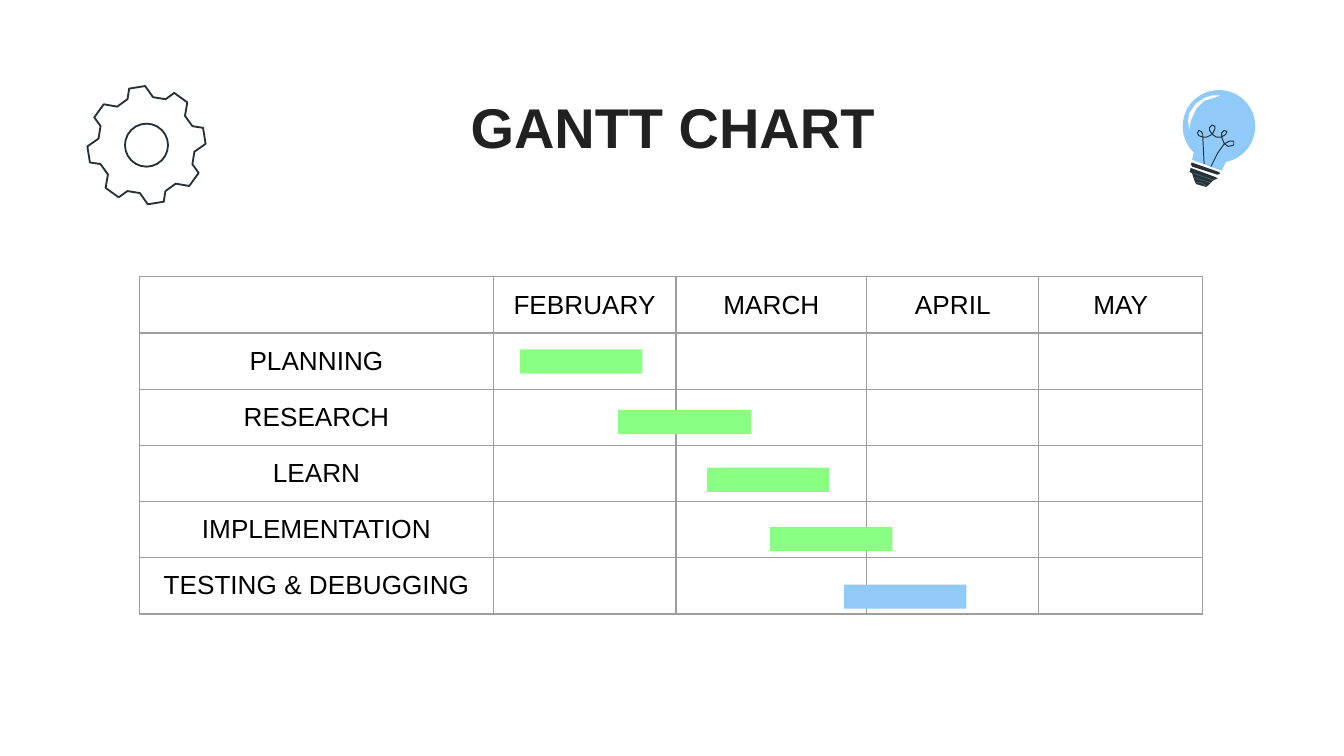
from dataclasses import dataclass
from math import cos, radians, sin

from lxml import etree
from pptx import Presentation
from pptx.dml.color import RGBColor
from pptx.enum.shapes import MSO_SHAPE
from pptx.enum.text import MSO_ANCHOR, MSO_AUTO_SIZE, PP_ALIGN
from pptx.oxml.ns import qn
from pptx.util import Inches, Pt

RECT, OVAL = MSO_SHAPE.RECTANGLE, MSO_SHAPE.OVAL
TOP, MIDDLE = MSO_ANCHOR.TOP, MSO_ANCHOR.MIDDLE
CENTER = PP_ALIGN.CENTER
NO_FIT = MSO_AUTO_SIZE.NONE


@dataclass(frozen=True)
class Theme:
    """Colours, font and type sizes of the slide."""
    font: str = "Arial"
    title: str = "212121"
    text: str = "000000"
    grid: str = "9E9E9E"
    done: str = "89FF83"
    blue: str = "90CAF9"
    dark: str = "263238"
    groove: str = "455A64"
    white: str = "FFFFFF"
    title_size: int = 30
    cell_size: int = 14


THEME = Theme()
MONTHS = ["FEBRUARY", "MARCH", "APRIL", "MAY"]
TASKS = [
    ("PLANNING", 2.83, 0.54, 0.91, THEME.done),
    ("RESEARCH", 3.56, 0.99, 0.99, THEME.done),
    ("LEARN", 4.22, 1.42, 0.91, THEME.done),
    ("IMPLEMENTATION", 4.69, 1.86, 0.91, THEME.done),
    ("TESTING & DEBUGGING", 5.24, 2.29, 0.91, THEME.blue),
]
COLS = [2.63, 1.36, 1.42, 1.28, 1.22]
DEPTH = 2.51
TOOTH = [(0.44, 1.3), (0.44, 17), (0.37, 22.4), (0.36, 37.2)]
NECK = [(0.09, 0.43), (0.07, 0.52), (0.29, 0.6), (0.33, 0.52)]
COLLAR = [(0.07, 0.54), (0.27, 0.61), (0.28, 0.62), (0.26, 0.63),
          (0.07, 0.57), (0.06, 0.55)]
BASE = [(0.06, 0.58), (0.25, 0.65), (0.26, 0.66), (0.23, 0.67), (0.19, 0.71),
        (0.17, 0.72), (0.1, 0.7), (0.09, 0.68), (0.07, 0.62), (0.05, 0.61)]
SHINE = [(0.28, 0.04), (0.22, 0.04), (0.16, 0.06), (0.1, 0.1), (0.05, 0.17),
         (0.04, 0.23), (0.05, 0.29), (0.06, 0.23), (0.1, 0.14), (0.16, 0.08),
         (0.23, 0.06)]
WIRE = [(0.16, 0.55), (0.15, 0.35), (0.12, 0.34), (0.11, 0.32), (0.12, 0.3),
        (0.14, 0.31), (0.15, 0.33), (0.15, 0.35), (0.18, 0.35), (0.22, 0.33),
        (0.24, 0.29), (0.24, 0.27), (0.22, 0.26), (0.2, 0.28), (0.2, 0.3),
        (0.22, 0.33), (0.25, 0.35), (0.29, 0.35), (0.32, 0.33), (0.33, 0.31),
        (0.31, 0.3), (0.29, 0.32), (0.29, 0.35), (0.31, 0.4), (0.34, 0.42),
        (0.38, 0.41), (0.38, 0.38), (0.35, 0.38), (0.31, 0.4), (0.26, 0.47),
        (0.21, 0.57)]
GROOVES = [
    [(0.08, 0.62), (0.23, 0.67)],
    [(0.08, 0.65), (0.21, 0.69)],
    [(0.1, 0.69), (0.14, 0.69), (0.18, 0.72)],
]


def paint(shape, fill=None, line=None, width=1):
    """Set fill and line of a shape, where None means empty."""
    shape.shadow.inherit = False
    if fill:
        shape.fill.solid()
        shape.fill.fore_color.rgb = RGBColor.from_string(fill)
    else:
        shape.fill.background()
    if line:
        shape.line.color.rgb = RGBColor.from_string(line)
        shape.line.width = Pt(width)
    else:
        shape.line.fill.background()


def preset(slide, kind, box, **look):
    """Add a preset shape in a box given in inches."""
    paint(slide.shapes.add_shape(kind, *map(Inches, box)), **look)


def trace(slide, left, top, points, close=True, **look):
    """Add an outline through points relative to left and top."""
    spots = [(Inches(left + x), Inches(top + y)) for x, y in points]
    pen = slide.shapes.build_freeform(*spots[0])
    pen.add_line_segments(spots[1:], close=close)
    paint(pen.convert_to_shape(), **look)


def style(para, size, color, bold=False):
    """Centre a paragraph and set its font."""
    para.alignment = CENTER
    look = {"name": THEME.font, "size": Pt(size), "bold": bold}
    for run in para.runs:
        for name, value in look.items():
            setattr(run.font, name, value)
        run.font.color.rgb = RGBColor.from_string(color)


def add_title(slide, left, top, width, height):
    """Place and format the title."""
    title = slide.shapes.title
    title.left, title.top = Inches(left), Inches(top)
    title.width, title.height = Inches(width), Inches(height)
    frame = title.text_frame
    frame.text = "GANTT CHART"
    look = {"margin_left": 0, "margin_right": 0, "margin_top": Inches(0.1),
            "margin_bottom": Inches(0.1), "vertical_anchor": TOP,
            "auto_size": NO_FIT}
    for name, value in look.items():
        setattr(frame, name, value)
    style(frame.paragraphs[0], THEME.title_size, THEME.title, True)


def add_gear(slide, left, top, size):
    """Draw a gear of eight teeth around a hole."""
    mid, hole = size / 2, 0.16
    points = []
    for tooth in range(8):
        for reach, turn in TOOTH:
            angle = radians(turn + 45 * tooth)
            points.append((mid - reach * sin(angle), mid - reach * cos(angle)))
    trace(slide, left, top, points, line=THEME.dark)
    box = (left + mid - hole, top + mid - hole, 2 * hole, 2 * hole)
    preset(slide, OVAL, box, line=THEME.dark)


def add_bulb(slide, left, top, size):
    """Draw a tilted light bulb with its wire and screw base."""
    preset(slide, OVAL, (left, top, size, size), fill=THEME.blue)
    parts = [(NECK, THEME.blue), (COLLAR, THEME.dark), (BASE, THEME.dark),
             (SHINE, THEME.white)]
    for points, fill in parts:
        trace(slide, left, top, points, fill=fill)
    lines = [(WIRE, THEME.dark)] + [(cut, THEME.groove) for cut in GROOVES]
    for points, line in lines:
        trace(slide, left, top, points, close=False, line=line, width=0.5)


def edge(cell):
    """Draw the four borders of a cell."""
    props = cell._tc.get_or_add_tcPr()
    for side in ("a:lnL", "a:lnR", "a:lnT", "a:lnB"):
        line = etree.SubElement(props, qn(side), w=str(Pt(0.75)))
        fill = etree.SubElement(line, qn("a:solidFill"))
        etree.SubElement(fill, qn("a:srgbClr"), val=THEME.grid)


def add_plan(slide, left, top):
    """Build the month table and lay the task bars over it."""
    rows = [[""] + MONTHS] + [[task[0]] + [""] * len(MONTHS) for task in TASKS]
    box = (left, top, sum(COLS), DEPTH)
    table = slide.shapes.add_table(len(rows), len(COLS), *map(Inches, box)).table
    table.first_row = table.horz_banding = False
    for col, width in zip(table.columns, COLS):
        col.width = Inches(width)
    look = {"margin_top": Inches(0.05), "margin_bottom": Inches(0.05),
            "vertical_anchor": MIDDLE}
    for row, words in zip(table.rows, rows):
        row.height = Inches(DEPTH / len(rows))
        for cell, word in zip(row.cells, words):
            cell.text = word
            for name, value in look.items():
                setattr(cell, name, value)
            edge(cell)
            cell.fill.background()
            style(cell.text_frame.paragraphs[0], THEME.cell_size, THEME.text)
    for _, start, drop, width, fill in TASKS:
        preset(slide, RECT, (left + start, top + drop, width, 0.18), fill=fill)


def main():
    """Build the slide and save it."""
    deck = Presentation()
    deck.slide_width = Inches(10)
    deck.slide_height = deck.slide_width * 9 // 16
    slide = deck.slides.add_slide(deck.slide_layouts[5])
    add_bulb(slide, 8.8, 0.67, 0.54)
    add_gear(slide, 0.64, 0.63, 0.9)
    add_title(slide, 0.79, 0.59, 8.43, 0.63)
    add_plan(slide, 1.04, 2.06)
    deck.save("out.pptx")


if __name__ == "__main__":
    main()
